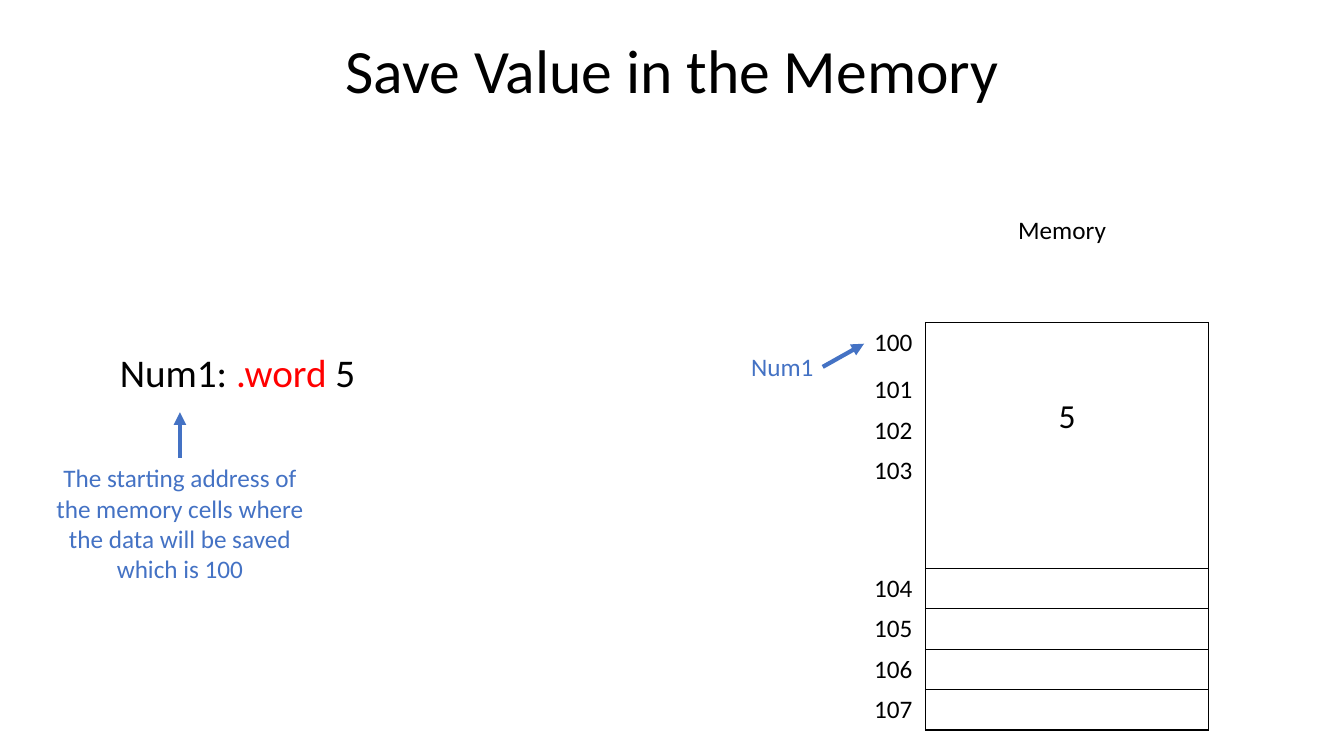
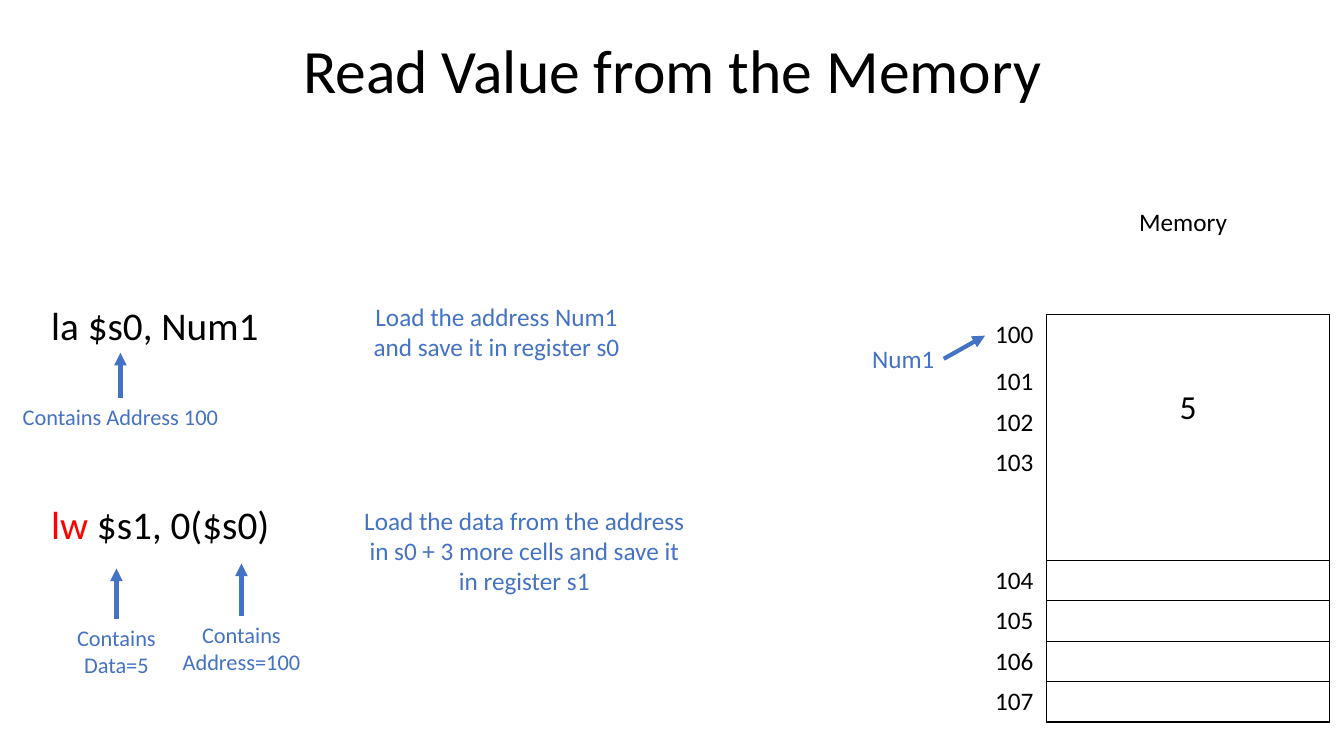
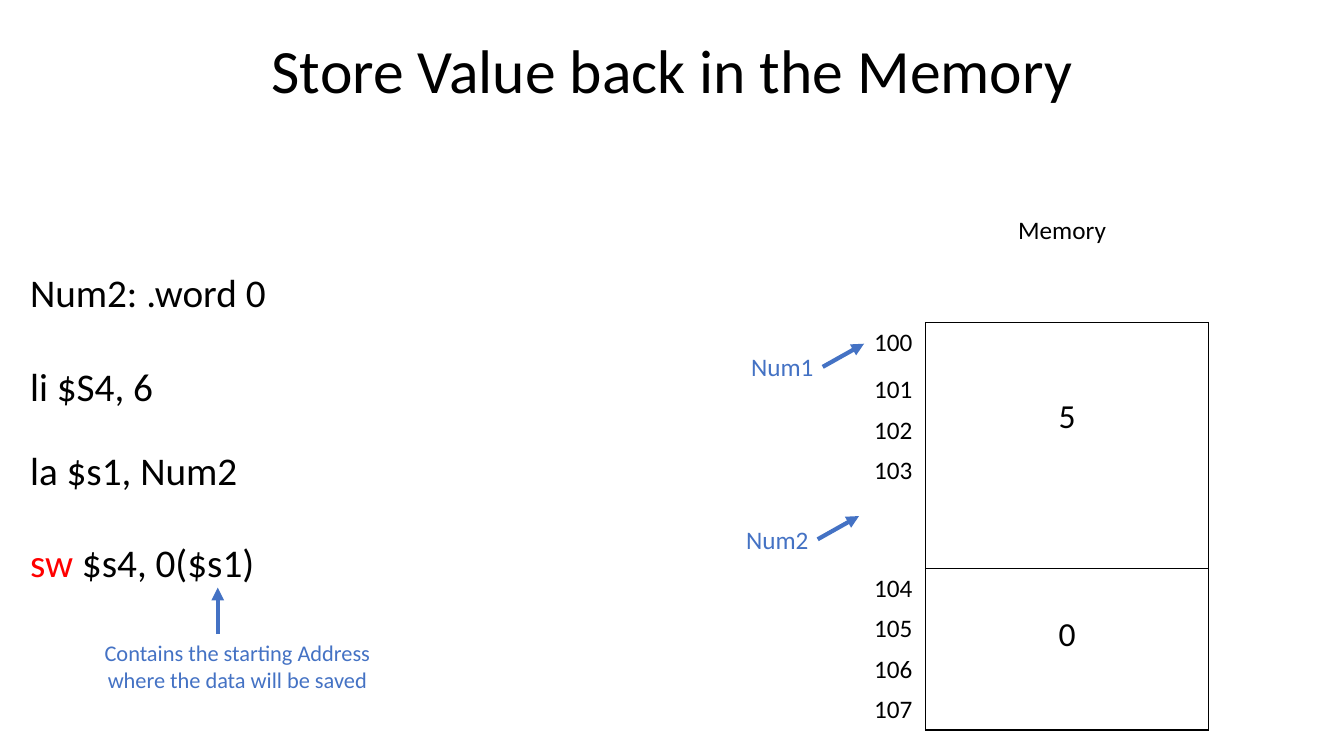
import pptx
import pptx.dml.color
import pptx.enum.shapes
import pptx.enum.text
import pptx.oxml.ns
import pptx.util
from lxml import etree
from pptx.util import Inches, Pt

FONT = "Calibri"
BLACK, RED, BLUE = "000000", "FF0000", "4472C4"
CENTER = pptx.enum.text.PP_ALIGN.CENTER
LEFT = pptx.enum.text.PP_ALIGN.LEFT
NOTE_WIDTH = 2.87
CODE_WIDTH = 3.66
ROW_HEIGHTS = [0.47, 0.4, 0.4, 1.17, 0.4, 0.4, 0.4, 0.4]
FIRST_ADDRESS = 100
WORD_CELLS = 4


def rgb(color):
    return pptx.dml.color.RGBColor.from_string(color)


def sub(parent, tag, **attributes):
    return etree.SubElement(parent, pptx.oxml.ns.qn(tag), attributes)


def add_runs(paragraph, runs, size, align=LEFT):
    """Fill a paragraph from (text, color) pairs."""
    paragraph.alignment = align
    for text, color in runs:
        run = paragraph.add_run()
        run.text = text
        run.font.name = FONT
        run.font.size = Pt(size)
        run.font.color.rgb = rgb(color)


def add_text(slide, box, lines, size, align=LEFT, gap=0):
    """Place a text box; each line is a list of (text, color) pairs."""
    label = slide.shapes.add_textbox(*map(Inches, box))
    frame = label.text_frame
    frame.word_wrap = True
    for index, runs in enumerate(lines):
        paragraph = frame.add_paragraph() if index else frame.paragraphs[0]
        if index:
            paragraph.space_before = Pt(gap)
        add_runs(paragraph, runs, size, align)
    return label


def add_code(slide, left, top, height, *lines):
    add_text(slide, (left, top, CODE_WIDTH, height), lines, 28, gap=34)


def add_arrow(slide, start, end):
    arrow = slide.shapes.add_connector(
        pptx.enum.shapes.MSO_CONNECTOR.STRAIGHT, *map(Inches, (*start, *end)))
    arrow.line.color.rgb = rgb(BLUE)
    arrow.line.width = Pt(3)
    sub(arrow.line._get_or_add_ln(), "a:tailEnd", type="triangle")
    sub(arrow._element.spPr, "a:effectLst")
    return arrow


def add_note(slide, left, top, height, *lines, size=18, width=NOTE_WIDTH, tip=None):
    """Add a blue remark, with an arrow from its top up to the height tip."""
    note = add_text(slide, (left, top, width, height),
                    [[(line, BLUE)] for line in lines], size, CENTER)
    if tip is not None:
        middle = left + width / 2
        arrow = add_arrow(slide, (middle, top), (middle, tip))
        arrow.begin_connect(note, 0)


def add_pointer(slide, name, tip_x, tip_y):
    """Name a memory address with a slanted arrow."""
    add_arrow(slide, (tip_x - 0.41, tip_y + 0.23), (tip_x, tip_y))
    add_note(slide, tip_x - 1.36, tip_y + 0.03, 0.4, name, width=1.1)


def style_cell(cell, sides):
    """Clear the fill and draw black borders on the given sides only."""
    properties = cell._tc.get_or_add_tcPr()
    for side in "LRTB":
        border = sub(properties, f"a:ln{side}", w=str(Pt(1)))
        if side in sides:
            sub(sub(border, "a:solidFill"), "a:srgbClr", val=BLACK)
        else:
            sub(border, "a:noFill")
    cell.fill.background()


def add_memory(slide, left, top, words):
    """Draw the memory; words maps the first row of a stored word to (value, top margin)."""
    add_text(slide, (left + 1.43, top - 1.12, 2.59, 0.4), [[("Memory", BLACK)]], 18)
    table = slide.shapes.add_table(
        len(ROW_HEIGHTS), 2, Inches(left), Inches(top),
        Inches(3.42), Inches(sum(ROW_HEIGHTS))).table
    table.first_row = table.horz_banding = False
    for column, width in zip(table.columns, (0.61, 2.81)):
        column.width = Inches(width)
    for first, (value, margin) in words.items():
        content = table.cell(first, 1)
        content.merge(table.cell(first + WORD_CELLS - 1, 1))
        content.margin_top = Inches(margin)
        content.margin_bottom = 0
        add_runs(content.text_frame.paragraphs[0], [(value, BLACK)], 24, CENTER)
    for index, height in enumerate(ROW_HEIGHTS):
        table.rows[index].height = Inches(height)
        address, content = table.cell(index, 0), table.cell(index, 1)
        add_runs(address.text_frame.paragraphs[0],
                 [(str(FIRST_ADDRESS + index), BLACK)], 18)
        style_cell(address, "R")
        style_cell(content, "LR" if content.is_spanned else "LRTB")
    add_pointer(slide, "Num1", left, top + 0.21)


def add_slide(deck, layout, heading):
    slide = deck.slides.add_slide(layout)
    paragraph = slide.shapes.title.text_frame.paragraphs[0]
    paragraph.line_spacing = 0.9
    add_runs(paragraph, [(heading, BLACK)], 44, CENTER)
    return slide


def title_layout(deck):
    """Return the title-only layout with its title fitted to the wide slide."""
    layout = deck.slide_layouts[5]
    title = layout.placeholders[0]
    title.left, title.top, title.width, title.height = map(
        Inches, (0.92, 0, 11.5, 1.45))
    title.text_frame.vertical_anchor = pptx.enum.text.MSO_ANCHOR.MIDDLE
    return layout


def main():
    deck = pptx.Presentation()
    deck.slide_width, deck.slide_height = Inches(13.33), Inches(7.5)
    layout = title_layout(deck)
    num1 = {0: ("5", 0.73)}
    num2 = {4: ("0", 0.46)}

    save = add_slide(deck, layout, "Save Value in the Memory")
    add_code(save, 1.09, 3.41, 1.82,
             [("Num1: ", BLACK), (".word", RED), (" 5", BLACK)])
    add_memory(save, 8.57, 3.2, num1)
    add_note(save, 0.35, 4.54, 1.31,
             "The starting address of the memory cells where the data "
             "will be saved which is 100", tip=4.09)

    read = add_slide(deck, layout, "Read Value from the Memory")
    add_code(read, 0.41, 2.94, 1.82, [("la $s0, Num1", BLACK)])
    add_code(read, 0.41, 4.91, 1.35, [("lw", RED), (" $s1, 0($s0)", BLACK)])
    add_memory(read, 9.77, 3.12, num1)
    add_note(read, 3.49, 2.94, 0.71,
             "Load the address Num1 and save it in register s0")
    add_note(read, 3.49, 4.96, 1.31,
             "Load the data from the address in s0 + 3 more cells "
             "and save it in register s1", width=3.42)
    add_note(read, -0.24, 3.95, 0.37, "Contains Address 100", size=16, tip=3.5)
    add_note(read, -0.28, 6.14, 0.64, "Contains", "Data=5", size=16, tip=5.64)
    add_note(read, 0.96, 6.11, 0.64, "Contains", "Address=100", size=16, tip=5.59)

    store = add_slide(deck, layout, "Store Value back in the Memory")
    add_code(store, 0.2, 2.61, 1.99,
             [("Num2: .word 0", BLACK)], [("li $S4, 6", BLACK)])
    add_code(store, 0.2, 4.38, 2.76, [("la $s1, Num2", BLACK)])
    add_code(store, 0.2, 5.29, 1.35, [("sw", RED), (" $s4, 0($s1)", BLACK)])
    add_memory(store, 8.57, 3.2, num1 | num2)
    add_pointer(store, "Num2", 8.52, 5.12)
    add_note(store, 0.92, 6.29, 0.64,
             "Contains the starting Address where the data will be saved", size=16)
    add_arrow(store, (2.16, 6.29), (2.16, 5.83))

    deck.save("out.pptx")


if __name__ == "__main__":
    main()
